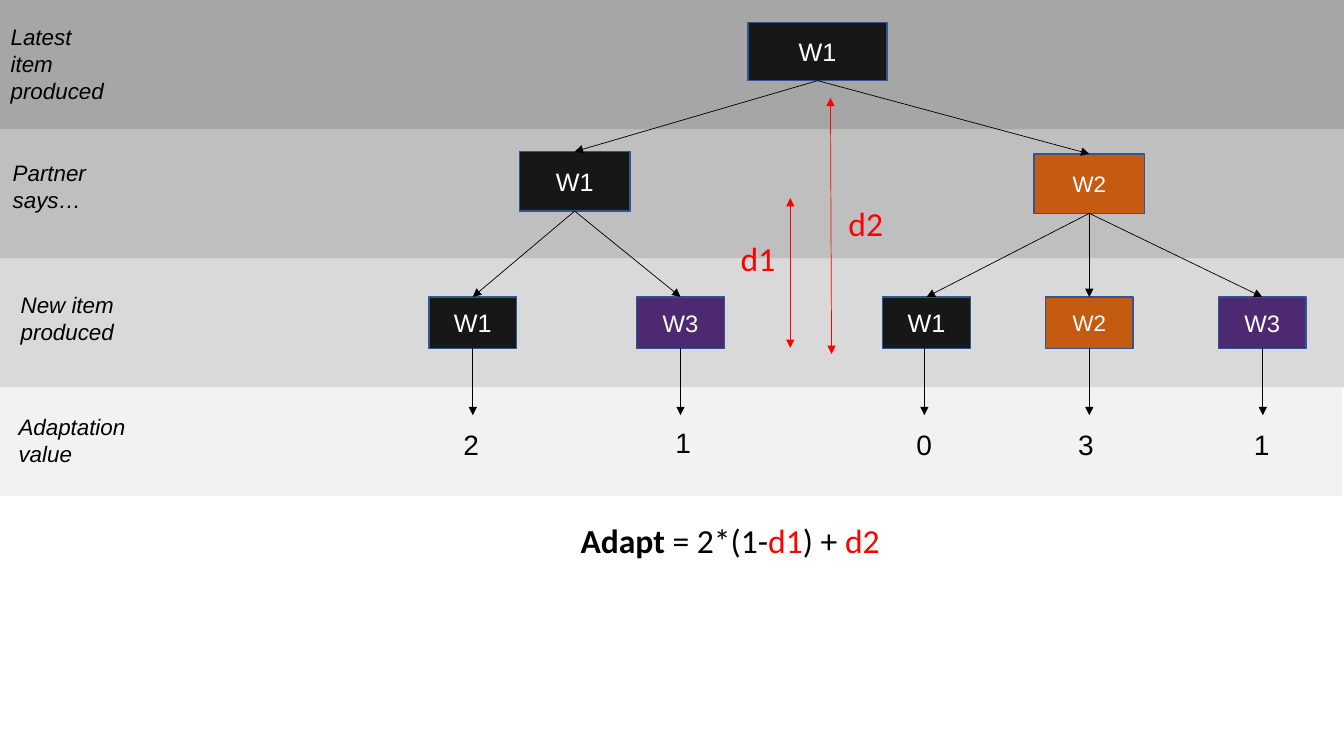
from dataclasses import dataclass
from typing import NamedTuple

from lxml import etree
from pptx import Presentation
from pptx.dml.color import RGBColor
from pptx.enum.shapes import MSO_CONNECTOR, MSO_SHAPE
from pptx.enum.text import MSO_ANCHOR, PP_ALIGN
from pptx.oxml.ns import qn
from pptx.util import Pt

RECT = MSO_SHAPE.RECTANGLE
STRAIGHT = MSO_CONNECTOR.STRAIGHT
MIDDLE = MSO_ANCHOR.MIDDLE
CENTER = PP_ALIGN.CENTER
TOP, BOTTOM = 0, 2


@dataclass(frozen=True)
class Theme:
    black: str = "000000"
    white: str = "FFFFFF"
    red: str = "FF0000"
    edge: str = "325491"
    sans: str = "Arial"
    math: str = "Calibri"
    label: float = 16
    value: float = 20
    large: float = 24
    thin: float = 0.5
    border: float = 1


THEME = Theme()


class Word(NamedTuple):
    text: str
    fill: str
    size: float


class Band(NamedTuple):
    top: float
    width: float
    height: float
    fill: str


class Node(NamedTuple):
    word: Word
    mid: float
    top: float
    width: float
    height: float


class Leaf(NamedTuple):
    word: Word
    mid: float
    drop: float
    value: str
    left: float
    top: float


class Run(NamedTuple):
    text: str
    size: float
    font: str = THEME.sans
    color: str = THEME.black
    bold: bool = False
    italic: bool = False


class Note(NamedTuple):
    left: float
    top: float
    width: float
    height: float
    lines: list[list[Run]]


class Span(NamedTuple):
    x1: float
    y1: float
    x2: float
    y2: float


W1 = Word("W1", "181717", 18)
W2 = Word("W2", "C55A11", 16)
W3 = Word("W3", "4D2971", 17)

BANDS = [
    Band(276.5, 958.6, 77.8, "F2F2F2"),
    Band(184.3, 960, 92.2, "D9D9D9"),
    Band(92.2, 960, 92.2, "BFBFBF"),
    Band(0, 960, 92.2, "A6A6A6"),
]

ROOT = Node(W1, 584, 15.9, 99.5, 41.7)
LEAF_TOP, LEAF_WIDTH, LEAF_HEIGHT = 212.1, 62.6, 36.7
DROP_END = 296.6
BRANCHES = [
    (Node(W1, 410.5, 108.3, 79.2, 42.5), [
        Leaf(W1, 337.7, 337.7, "2", 324, 301.7),
        Leaf(W3, 486.1, 486.1, "1", 475.4, 300.5),
    ]),
    (Node(W2, 778.1, 109.9, 79.2, 42.5), [
        Leaf(W1, 661.9, 660.3, "0", 647.5, 301.7),
        Leaf(W2, 778.1, 778.1, "3", 763, 301.7),
        Leaf(W3, 901.6, 902, "1", 888.6, 301.7),
    ]),
]


def label(text: str) -> list[Run]:
    return [Run(text, THEME.label, italic=True)]


def sign(text: str) -> Run:
    return Run(text, THEME.large, THEME.math, THEME.red)


def term(text: str, bold: bool = False) -> Run:
    return Run(text, THEME.large, THEME.math, bold=bold)


NOTES = [
    Note(0.5, 13, 87, 65.5, [label("Latest item produced")]),
    Note(2, 110.3, 87, 46, [label("Partner"), label("says…")]),
    Note(7.7, 204.5, 87, 46, [label("New item produced")]),
    Note(6.2, 291.8, 97, 46, [label("Adaptation value")]),
    Note(522, 166.5, 47.5, 36, [[sign("d1")]]),
    Note(599, 141.3, 47.5, 36, [[sign("d2")]]),
    Note(407.6, 368, 355, 36, [[
        term("Adapt", True), term(" = 2*(1-"), sign("d1"),
        term(") + "), sign("d2"),
    ]]),
]
SPANS = [Span(594, 252.9, 593.2, 69.8), Span(564.5, 248.5, 564.5, 141.4)]


def paint(color: str) -> RGBColor:
    return RGBColor.from_string(color)


def add_run(para, item: Run) -> None:
    run = para.add_run()
    run.text = item.text
    font = run.font
    font.name, font.size = item.font, Pt(item.size)
    font.bold, font.italic = item.bold, item.italic
    font.color.rgb = paint(item.color)


def add_rect(slide, left: float, top: float, width: float, height: float, fill: str):
    shape = slide.shapes.add_shape(RECT, Pt(left), Pt(top), Pt(width), Pt(height))
    shape.shadow.inherit = False
    shape.fill.solid()
    shape.fill.fore_color.rgb = paint(fill)
    shape.line.fill.background()
    return shape


def add_node(slide, node: Node):
    word = node.word
    left = node.mid - node.width / 2
    shape = add_rect(slide, left, node.top, node.width, node.height, word.fill)
    shape.line.color.rgb = paint(THEME.edge)
    shape.line.width = Pt(THEME.border)
    frame = shape.text_frame
    frame.vertical_anchor = MIDDLE
    para = frame.paragraphs[0]
    para.alignment = CENTER
    add_run(para, Run(word.text, word.size, color=THEME.white))
    return shape


def add_arrow(slide, span: Span, color: str = THEME.black, both: bool = False):
    arrow = slide.shapes.add_connector(STRAIGHT, *(Pt(v) for v in span))
    arrow.line.color.rgb = paint(color)
    arrow.line.width = Pt(THEME.thin)
    line = arrow.line._get_or_add_ln()
    for tag in ("a:headEnd", "a:tailEnd") if both else ("a:tailEnd",):
        etree.SubElement(line, qn(tag), type="triangle")
    etree.SubElement(arrow._element.spPr, qn("a:effectLst"))
    return arrow


def link(slide, source, target) -> None:
    arrow = add_arrow(slide, Span(0, 0, 0, 0))
    arrow.begin_connect(source, BOTTOM)
    arrow.end_connect(target, TOP)


def add_note(slide, note: Note) -> None:
    box = slide.shapes.add_textbox(*(Pt(v) for v in note[:4]))
    frame = box.text_frame
    frame.word_wrap = True
    for index, line in enumerate(note.lines):
        para = frame.add_paragraph() if index else frame.paragraphs[0]
        for run in line:
            add_run(para, run)


def add_leaf(slide, parent, leaf: Leaf) -> None:
    node = Node(leaf.word, leaf.mid, LEAF_TOP, LEAF_WIDTH, LEAF_HEIGHT)
    link(slide, parent, add_node(slide, node))
    add_arrow(slide, Span(leaf.drop, LEAF_TOP + LEAF_HEIGHT, leaf.drop, DROP_END))
    value = [[Run(leaf.value, THEME.value)]]
    add_note(slide, Note(leaf.left, leaf.top, 44, 31.5, value))


def main() -> None:
    deck = Presentation()
    deck.slide_width, deck.slide_height = Pt(960), Pt(540)
    slide = deck.slides.add_slide(deck.slide_layouts.get_by_name("Blank"))
    for band in BANDS:
        add_rect(slide, 0, *band)
    root = add_node(slide, ROOT)
    for node, leaves in BRANCHES:
        branch = add_node(slide, node)
        link(slide, root, branch)
        for leaf in leaves:
            add_leaf(slide, branch, leaf)
    for span in SPANS:
        add_arrow(slide, span, THEME.red, both=True)
    for note in NOTES:
        add_note(slide, note)
    deck.save("out.pptx")


if __name__ == "__main__":
    main()
